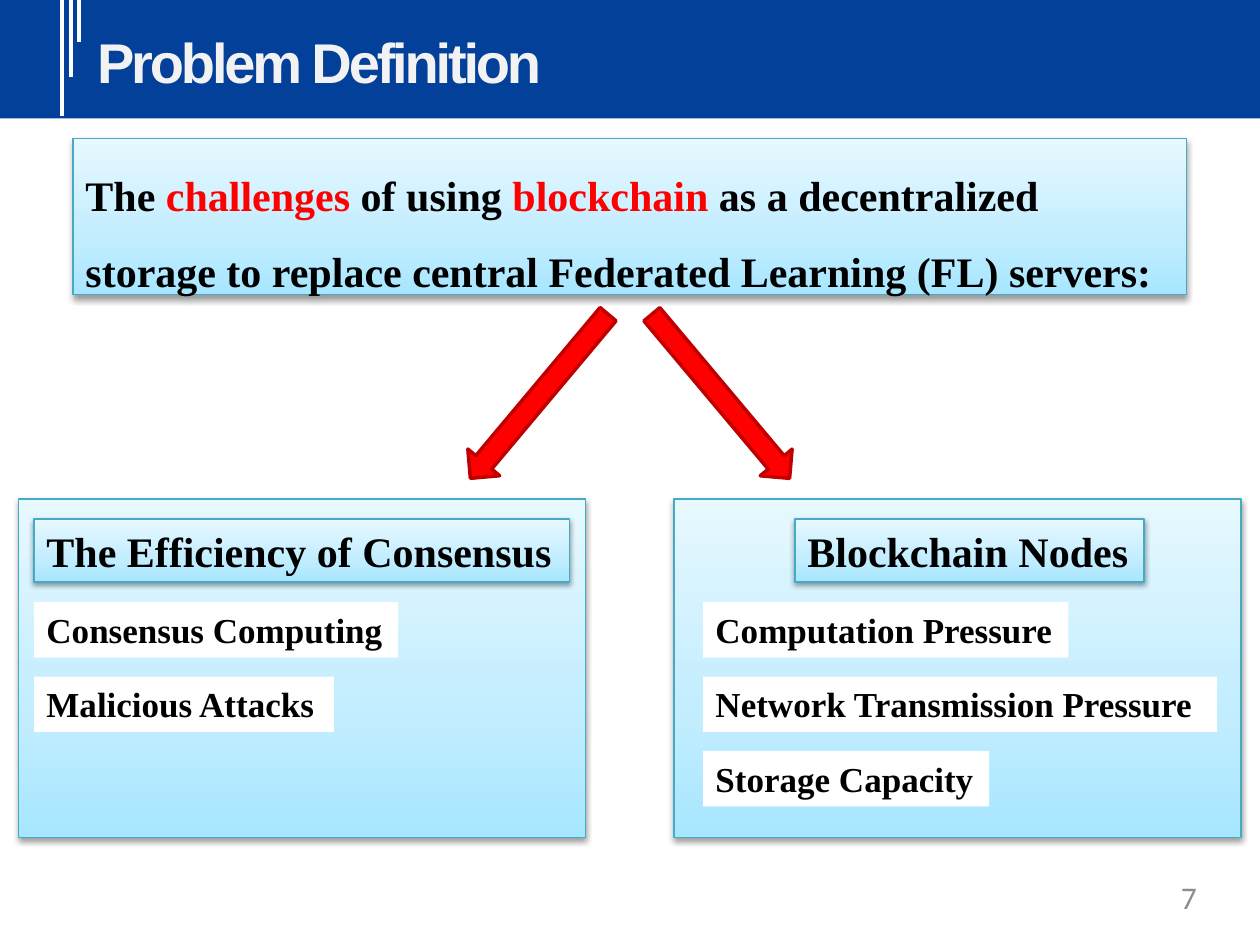
from lxml import etree
from pptx import Presentation
from pptx.dml.color import RGBColor
from pptx.enum.shapes import MSO_CONNECTOR, MSO_SHAPE
from pptx.enum.text import MSO_ANCHOR, MSO_AUTO_SIZE, PP_ALIGN
from pptx.oxml import parse_xml
from pptx.oxml.ns import qn
from pptx.util import Inches, Pt

RECT, ARROW, STRAIGHT = MSO_SHAPE.RECTANGLE, MSO_SHAPE.LEFT_ARROW, MSO_CONNECTOR.STRAIGHT
LEFT, RIGHT, TOP, NO_FIT = PP_ALIGN.LEFT, PP_ALIGN.RIGHT, MSO_ANCHOR.TOP, MSO_AUTO_SIZE.NONE
NS = "http://schemas.openxmlformats.org/drawingml/2006/main"

COLORS = {
    "band": "02409A", "white": "FFFFFF", "title": "F2F2F2", "number": "8C8C8C",
    "black": "000000", "red": "FF0000", "arrow_line": "C00000", "panel_line": "46AAC5",
}
STOPS = [(0, "A7E6FF"), (35, "C1EDFF"), (100, "E7F8FF")]
SHADOW = (
    f'<a:effectLst xmlns:a="{NS}"><a:outerShdw blurRad="40000" dist="20000" dir="5400000" '
    'rotWithShape="0"><a:srgbClr val="000000"><a:alpha val="38000"/></a:srgbClr>'
    "</a:outerShdw></a:effectLst>"
)


def add_box(shape, box, fill=None, line=None, width=0.75):
    sp = s.shapes.add_shape(shape, *map(Inches, box))
    sp.shadow.inherit = False
    if fill:
        sp.fill.solid()
        sp.fill.fore_color.rgb = RGBColor.from_string(COLORS[fill])
    else:
        sp.fill.gradient()
        sp.fill.gradient_angle = 90
        spPr = sp.element.spPr
        stops = spPr.find(".//" + qn("a:gsLst"))
        for stop in list(stops):
            stops.remove(stop)
        for pos, color in STOPS:
            gs = etree.SubElement(stops, qn("a:gs"), pos=str(pos * 1000))
            etree.SubElement(gs, qn("a:srgbClr"), val=color)
        spPr.replace(spPr.find(qn("a:effectLst")), parse_xml(SHADOW))
    if line:
        sp.line.color.rgb = RGBColor.from_string(COLORS[line])
        sp.line.width = Pt(width)
    else:
        sp.line.fill.background()
    return sp


def write(sp, runs, size, font="Times New Roman", bold=True, align=LEFT, wrap=True):
    tf = sp.text_frame
    for name, value in {"auto_size": NO_FIT, "word_wrap": wrap, "vertical_anchor": TOP}.items():
        setattr(tf, name, value)
    p = tf.paragraphs[0]
    p.alignment = align
    for text, color in runs:
        r = p.add_run()
        r.text = text
        for name, value in {"name": font, "size": Pt(size), "bold": bold}.items():
            setattr(r.font, name, value)
        r.font.color.rgb = RGBColor.from_string(COLORS[color])
    return p


prs = Presentation()
prs.slide_width, prs.slide_height = Inches(10), Inches(7.5)
s = prs.slides.add_slide(prs.slide_layouts[5])

add_box(RECT, (0, 0, 10, 0.94), "band")
for x, length in [(0.49, 0.92), (0.56, 0.61), (0.63, 0.33)]:
    bar = s.shapes.add_connector(STRAIGHT, Inches(x), 0, Inches(x), Inches(length))
    bar.line.color.rgb = RGBColor.from_string(COLORS["white"])
    bar.line.width = Pt(2.25)
    etree.SubElement(bar.element.spPr, qn("a:effectLst"))

title = s.shapes.title
title.element.getparent().append(title.element)
number = s.shapes.add_textbox(Inches(7.2), Inches(6.97), Inches(2.3), Inches(0.38))
for name, value in {"left": 0.77, "top": 0.21, "width": 3.57, "height": 0.55}.items():
    setattr(title, name, Inches(value))
for sp in (title, number):
    for side in ("left", "top", "right", "bottom"):
        setattr(sp.text_frame, f"margin_{side}", 0)
title.text_frame.margin_top = Inches(0.01)
p = write(title, [("Problem Definition", "title")], 32, "Arial", wrap=False)
p.space_before = Pt(1)
p.runs[0].font.element.set("spc", "-180") if hasattr(p.runs[0].font, "element") else None
title.element.find(".//" + qn("a:rPr")).set("spc", "-180")
write(number, [("7", "number")], 18, "Calibri", False, RIGHT)

challenge = add_box(RECT, (0.58, 1.1, 8.84, 1.24), line="panel_line")
p = write(challenge, [
    ("The ", "black"), ("challenges", "red"), (" of using ", "black"), ("blockchain", "red"),
    (" as a decentralized storage to replace central Federated Learning (FL) servers:", "black"),
], 24)
p.line_spacing = 1.5

GROUPS = [
    (0.15, (0.27, 4.25, "The Efficiency of Consensus"), 0.27,
     [("Consensus Computing", 2.89), ("Malicious Attacks", 2.38)]),
    (5.35, (6.31, 2.77, "Blockchain Nodes"), 5.58,
     [("Computation Pressure", 2.9), ("Network Transmission Pressure", 4.08),
      ("Storage Capacity", 2.27)]),
]
for panel_x, (head_x, head_w, heading), item_x, items in GROUPS:
    add_box(RECT, (panel_x, 3.96, 4.5, 2.69), line="panel_line")
    head = add_box(RECT, (head_x, 4.12, head_w, 0.5), line="panel_line")
    write(head, [(heading, "black")], 24, wrap=False)
    for i, (text, width) in enumerate(items):
        item = add_box(RECT, (item_x, 4.78 + 0.59 * i, width, 0.44), "white")
        write(item, [(text, "black")], 20, wrap=False)

for x, angle in [(3.43, 310), (4.87, 230)]:
    arrow = add_box(ARROW, (x, 2.98, 1.7, 0.33), "red", "arrow_line", 2)
    arrow.rotation = angle

prs.save("out.pptx")
